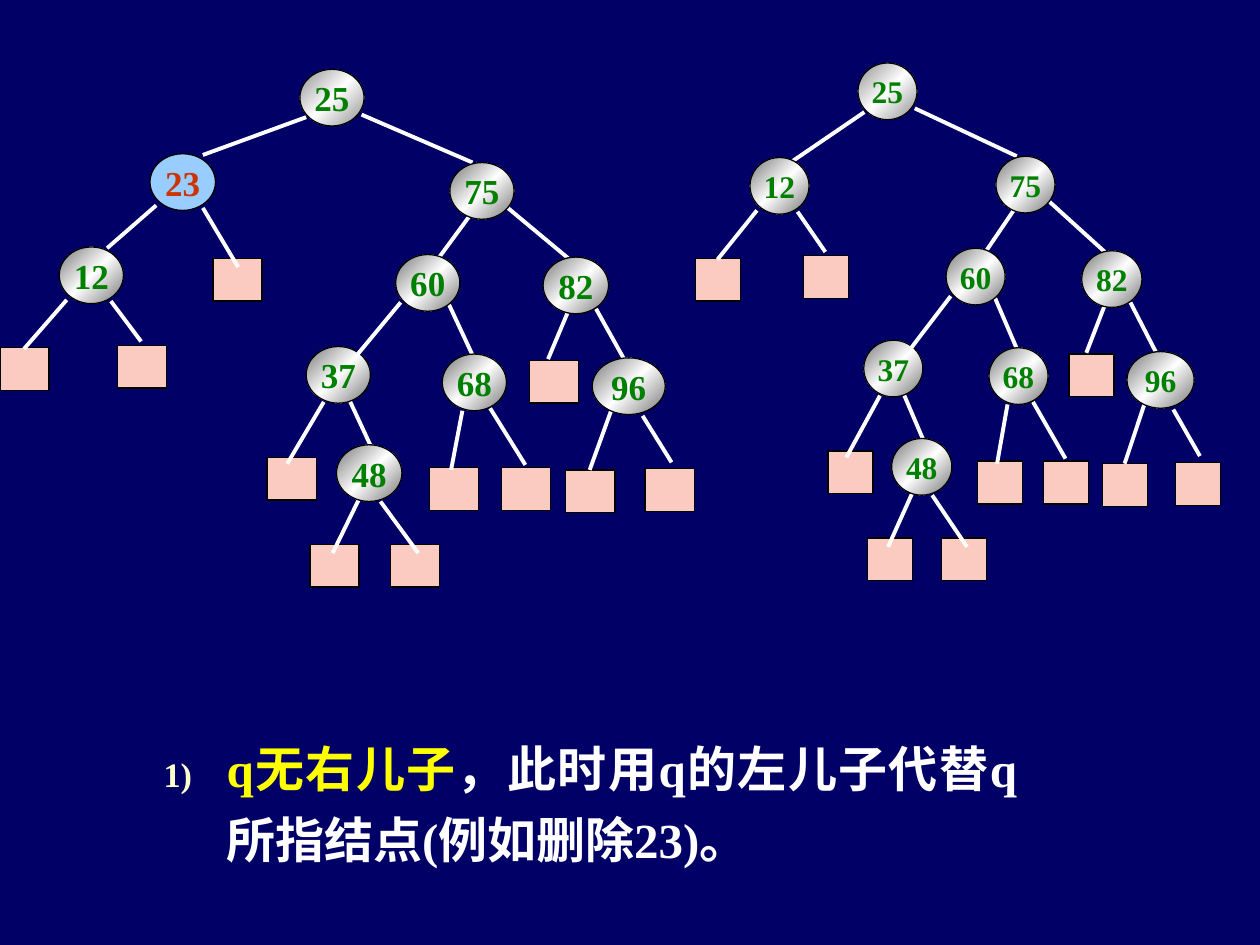
from copy import deepcopy
from lxml.etree import SubElement
from pptx import Presentation
from pptx.dml.color import RGBColor
from pptx.enum.shapes import MSO_CONNECTOR, MSO_SHAPE
from pptx.enum.text import MSO_ANCHOR, MSO_AUTO_SIZE, PP_ALIGN
from pptx.oxml.ns import qn
from pptx.util import Inches, Pt

NAVY = RGBColor(0x00, 0x00, 0x66)
WHITE = RGBColor(0xFF, 0xFF, 0xFF)
BLACK = RGBColor(0x00, 0x00, 0x00)
GRAY = RGBColor(0x76, 0x76, 0x76)
LIGHT_GRAY = RGBColor(0x90, 0x90, 0x90)
PINK = RGBColor(0xFB, 0xCB, 0xC1)
GREEN = RGBColor(0x00, 0x80, 0x00)
BLUE = RGBColor(0x99, 0xCC, 0xFF)
RED = RGBColor(0xCC, 0x33, 0x00)
YELLOW = RGBColor(0xFF, 0xFF, 0x00)
FONT = "Times New Roman"

prs = Presentation()
prs.slide_width, prs.slide_height = Inches(10), Inches(7.5)
s = prs.slides.add_slide(prs.slide_layouts[6])
s.background.fill.solid()
s.background.fill.fore_color.rgb = NAVY

# Parts of the tree: leaves (x, y), edges (x1, y1, x2, y2), nodes (key, x, y, width)
stable = {  # root and its right subtree
    "leaves": [(2.46, 4.32), (4.2, 2.86), (5.12, 3.72), (2.12, 3.63), (3.1, 4.32),
               (3.41, 3.71), (3.98, 3.71), (4.49, 3.73)],
    "edges": [(2.87, 0.91, 3.75, 1.29), (3.73, 1.71, 3.48, 2.05), (4.03, 1.65, 4.51, 2.05),
              (2.85, 3.96, 2.64, 4.39), (3.02, 3.98, 3.32, 4.39), (3.18, 2.4, 2.84, 2.81),
              (3.56, 2.41, 3.77, 2.86), (4.51, 2.47, 4.35, 2.85), (4.73, 2.45, 4.97, 2.88),
              (2.57, 3.19, 2.28, 3.68), (2.78, 3.19, 2.98, 3.62), (3.67, 3.26, 3.58, 3.73),
              (3.89, 3.24, 4.17, 3.69), (4.85, 3.26, 4.68, 3.73), (5.1, 3.3, 5.33, 3.67)],
    "nodes": [("37", 2.43, 2.75, 0.51), ("25", 2.38, 0.55, 0.51), ("75", 3.57, 1.29, 0.51),
              ("48", 2.67, 3.53, 0.52), ("60", 3.14, 2.02, 0.51), ("82", 4.31, 2.04, 0.52),
              ("68", 3.51, 2.81, 0.51), ("96", 4.7, 2.84, 0.58)],
}
moved = {  # subtree that takes the place of the deleted node
    "leaves": [(0.93, 2.74), (0, 2.76)],
    "edges": [(0.53, 2.38, 0.19, 2.77), (0.88, 2.39, 1.12, 2.71)],
    "nodes": [("12", 0.47, 1.96, 0.51)],
}
deleted = {  # node 23 with its links
    "leaves": [(1.69, 2.05)],
    "edges": [(2.43, 0.93, 1.61, 1.23), (1.24, 1.63, 0.85, 1.97), (1.61, 1.65, 1.89, 2.12)],
    "nodes": [("23", 1.19, 1.22, 0.52)],
}
new_link = {"leaves": [], "edges": [(6.86, 0.89, 6.23, 1.32)], "nodes": []}


def add_block(group, kind, x, y, w, h):
    sp = group.shapes.add_shape(kind, Inches(x), Inches(y), Inches(w), Inches(h))
    sp.shadow.inherit = False
    sp.fill.solid()
    sp.fill.fore_color.rgb = PINK
    sp.line.color.rgb = BLACK
    sp.line.width = Pt(0.75)
    return sp


def add_node(group, key, x, y, w, size):
    sp = add_block(group, MSO_SHAPE.OVAL, x, y, w, 0.45)
    if key == "23":
        sp.fill.fore_color.rgb = BLUE
    else:
        sp.fill.gradient()
        sp.fill.gradient_angle = 315
        first = sp._element.xpath(".//a:gs")[0]
        first.addnext(deepcopy(first))
        edge = LIGHT_GRAY if key == "25" else GRAY
        for stop, pos, color in zip(sp.fill.gradient_stops, (0, 0.5, 1), (edge, WHITE, edge)):
            stop.position = pos
            stop.color.rgb = color
    tf = sp.text_frame
    tf.word_wrap = True
    tf.vertical_anchor = MSO_ANCHOR.MIDDLE
    tf.margin_left = tf.margin_right = Inches(0.02)
    tf.margin_top = tf.margin_bottom = Inches(0.01)
    p = tf.paragraphs[0]
    p.alignment = PP_ALIGN.CENTER
    r = p.add_run()
    r.text = key
    for name, value in {"size": Pt(size), "name": FONT, "bold": True}.items():
        setattr(r.font, name, value)
    r.font.color.rgb = RED if key == "23" else GREEN


# Trees before and after the deletion: each part with its x scale and x, y shift
trees = [
    (20, [(stable, 1, 0, 0), (deleted, 1, 0, 0), (moved, 1, 0, 0)]),
    (18, [(stable, 0.92, 4.62, -0.05), (new_link, 1, 0, 0), (moved, 0.92, 5.52, -0.71)]),
]
for size, parts in trees:
    group = s.shapes.add_group_shape()
    leaves, edges, nodes = [], [], []
    for part, k, dx, dy in parts:
        leaves += [(k * x + dx, y + dy, 0.39 * k) for x, y in part["leaves"]]
        edges += [(k * x1 + dx, y1 + dy, k * x2 + dx, y2 + dy) for x1, y1, x2, y2 in part["edges"]]
        nodes += [(key, k * x + dx, y + dy, k * w) for key, x, y, w in part["nodes"]]
    add_node(group, *nodes[0], size)  # node 37 lies under its edges
    for x, y, w in leaves:
        add_block(group, MSO_SHAPE.RECTANGLE, x, y, w, 0.34)
    for edge in edges:
        line = group.shapes.add_connector(MSO_CONNECTOR.STRAIGHT, *[Inches(v) for v in edge])
        line.line.color.rgb = WHITE
        line.line.width = Pt(2.25)
        SubElement(line._element.spPr, qn("a:effectLst"))
    for node in nodes[1:]:
        add_node(group, *node, size)

# Numbered rule
tf = s.shapes.add_textbox(Inches(1.2), Inches(5.72), Inches(6.97), Inches(1.23)).text_frame
tf.word_wrap = True
tf.auto_size = MSO_AUTO_SIZE.SHAPE_TO_FIT_TEXT
p = tf.paragraphs[0]
p.alignment = PP_ALIGN.JUSTIFY
p.line_spacing = 1.2
pPr = p._p.get_or_add_pPr()
pPr.set("marL", str(Inches(0.5)))
pPr.set("indent", str(Inches(-0.5)))
SubElement(SubElement(pPr, qn("a:buClr")), qn("a:srgbClr"), val="FFFFCC")
SubElement(pPr, qn("a:buSzPct"), val="70000")
SubElement(pPr, qn("a:buFont"), typeface=FONT)
SubElement(pPr, qn("a:buAutoNum"), type="arabicParenR")
for text, color in [("q无右儿子", YELLOW), ("，此时用q的左儿子代替q所指结点(例如删除23)。", WHITE)]:
    r = p.add_run()
    r.text = text
    for name, value in {"size": Pt(28), "name": FONT, "bold": True}.items():
        setattr(r.font, name, value)
    r.font.color.rgb = color

prs.save("out.pptx")
